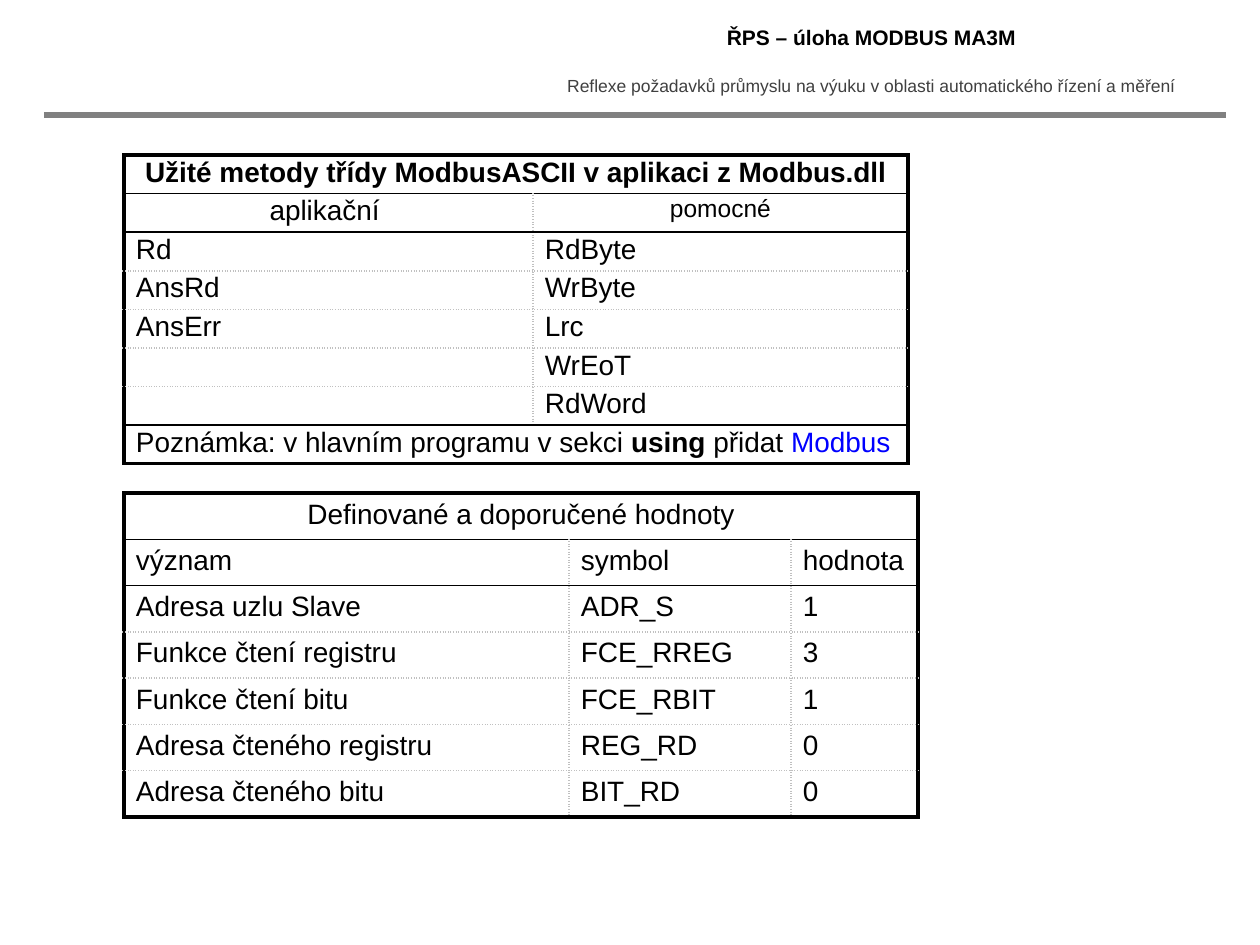
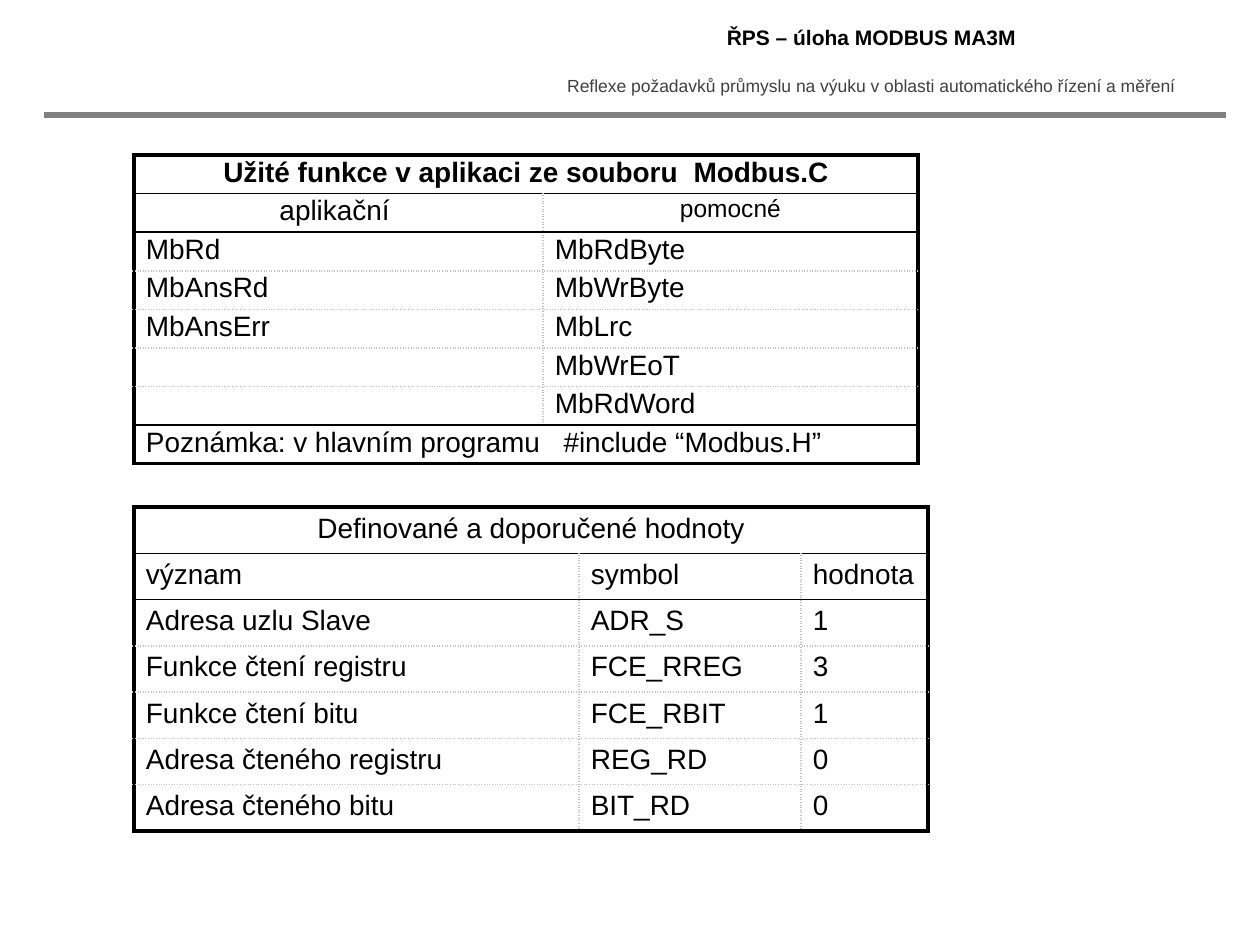
"""Build two slides with tables of Modbus methods, functions and recommended values."""
from lxml.etree import SubElement
from pptx import Presentation
from pptx.dml.color import RGBColor
from pptx.enum.shapes import MSO_CONNECTOR
from pptx.enum.text import MSO_ANCHOR, PP_ALIGN
from pptx.oxml.ns import qn
from pptx.util import Pt

PX = 914400 // 126
FONT = "Arial"
BLACK, GREY, SILVER, DARK, BLUE = "000000", "808080", "C0C0C0", "404040", "0000FF"
FRAME, RULE, DOTS = (BLACK, 2.25, "solid"), (BLACK, 1, "solid"), (SILVER, 1, "sysDot")

HEADER_TEXTS = [
    ((542, 18, 659, 39), "ŘPS – úloha MODBUS MA3M", 12, BLACK, True),
    ((542, 69, 658, 34),
     "Reflexe požadavků průmyslu na výuku v oblasti automatického řízení a měření",
     10, DARK, False),
]
VALUES = [
    ["Definované a doporučené hodnoty"],
    ["význam", "symbol", "hodnota"],
    ["Adresa uzlu Slave", "ADR_S", "1"],
    ["Funkce čtení registru", "FCE_RREG", "3"],
    ["Funkce čtení bitu", "FCE_RBIT", "1"],
    ["Adresa čteného registru", "REG_RD", "0"],
    ["Adresa čteného bitu", "BIT_RD", "0"],
]
SLIDES = [
    {
        "left": 124, "values_top": 493, "prefix": "",
        "title": [("Užité metody třídy ModbusASCII v aplikaci z Modbus.dll", {})],
        "note": [("Poznámka: v hlavním programu v sekci ", {}), ("using ", {"bold": True}),
                 ("přidat ", {}), ("Modbus", {"color": BLUE})],
    },
    {
        "left": 134, "values_top": 507, "prefix": "Mb",
        "title": [("Užité funkce v aplikaci ze souboru", {}), (" ", {"tracking": 4.45}),
                  ("Modbus.C", {})],
        "note": [("Poznámka: v hlavním programu", {}), (" ", {"tracking": 8.9}),
                 ("#include “Modbus.H”", {})],
    },
]
METHODS = [("Rd", "RdByte"), ("AnsRd", "WrByte"), ("AnsErr", "Lrc"), ("", "WrEoT"), ("", "RdWord")]


def write_spans(para, spans, size, bold=False, color=BLACK):
    for text, style in spans:
        span = para.add_run()
        span.text = text
        span.font.name = FONT
        span.font.size = Pt(size)
        span.font.bold = style.get("bold", bold)
        span.font.color.rgb = RGBColor.from_string(style.get("color", color))
        if "tracking" in style:
            span.font._element.set("spc", str(round(style["tracking"] * 100)))
    SubElement(para._p, qn("a:endParaRPr"), sz=str(size * 100))


def set_borders(cell, borders):
    properties = cell._tc.get_or_add_tcPr()
    for side, (color, width, dash) in borders.items():
        line = SubElement(properties, qn(f"a:ln{side}"), w=str(Pt(width)))
        SubElement(SubElement(line, qn("a:solidFill")), qn("a:srgbClr"), val=color)
        SubElement(line, qn("a:prstDash"), val=dash)


deck = Presentation()
deck.slide_width, deck.slide_height = 1260 * PX, 945 * PX

for content in SLIDES:
    page = deck.slides.add_slide(deck.slide_layouts[6])

    for place, text, size, color, bold in HEADER_TEXTS:
        box = page.shapes.add_textbox(*(length * PX for length in place))
        box.text_frame.word_wrap = True
        para = box.text_frame.paragraphs[0]
        para.alignment = PP_ALIGN.CENTER
        write_spans(para, [(text, {})], size, bold, color)

    divider = page.shapes.add_connector(
        MSO_CONNECTOR.STRAIGHT, 44 * PX, 115 * PX, 1226 * PX, 115 * PX)
    divider.line.color.rgb = RGBColor.from_string(GREY)
    divider.line.width = Pt(3)
    SubElement(divider._element.spPr, qn("a:effectLst"))

    prefix = content["prefix"]
    methods = [[content["title"]], ["aplikační ", "pomocné"]]
    methods += [[name and prefix + name for name in names] for names in METHODS]
    methods.append([content["note"]])

    for rows, top, height, widths, inset, ruled_rows, centred_rows, title_bold in [
        (methods, 155, 309, (409, 375), 2, (0, 1, 6), (0, 1), True),
        (VALUES, content["values_top"], 324, (445, 222, 127), 6, (0, 1), (0,), False),
    ]:
        last_row, last_column = len(rows) - 1, len(widths) - 1
        table = page.shapes.add_table(
            len(rows), len(widths), content["left"] * PX, top * PX,
            sum(widths) * PX, height * PX).table
        table.first_row = table.horz_banding = False
        for column, width in zip(table.columns, widths):
            column.width = width * PX

        for r, row in enumerate(rows):
            table.rows[r].height = height * PX // len(rows)
            merged = len(row) == 1
            if merged:
                table.cell(r, 0).merge(table.cell(r, last_column))
            above = FRAME if r == 0 else RULE if r - 1 in ruled_rows else DOTS
            below = FRAME if r == last_row else RULE if r in ruled_rows else DOTS
            for c in range(len(widths)):
                cell = table.cell(r, c)
                borders = {
                    "L": FRAME if c == 0 else DOTS,
                    "R": FRAME if merged or c == last_column else DOTS,
                    "T": above,
                    "B": below,
                }
                if cell.is_spanned:
                    del borders["L"]
                set_borders(cell, borders)
                cell.fill.background()
                if cell.is_spanned:
                    continue
                cell.margin_left = cell.margin_right = 12 * PX
                cell.margin_top = cell.margin_bottom = inset * PX
                cell.vertical_anchor = MSO_ANCHOR.TOP
                para = cell.text_frame.paragraphs[0]
                para.alignment = PP_ALIGN.CENTER if r in centred_rows else PP_ALIGN.LEFT
                spans = row[c] if isinstance(row[c], list) else [(row[c], {})] if row[c] else []
                write_spans(para, spans, 14 if row[c] == "pomocné" else 16, title_bold and r == 0)

deck.save("out.pptx")
